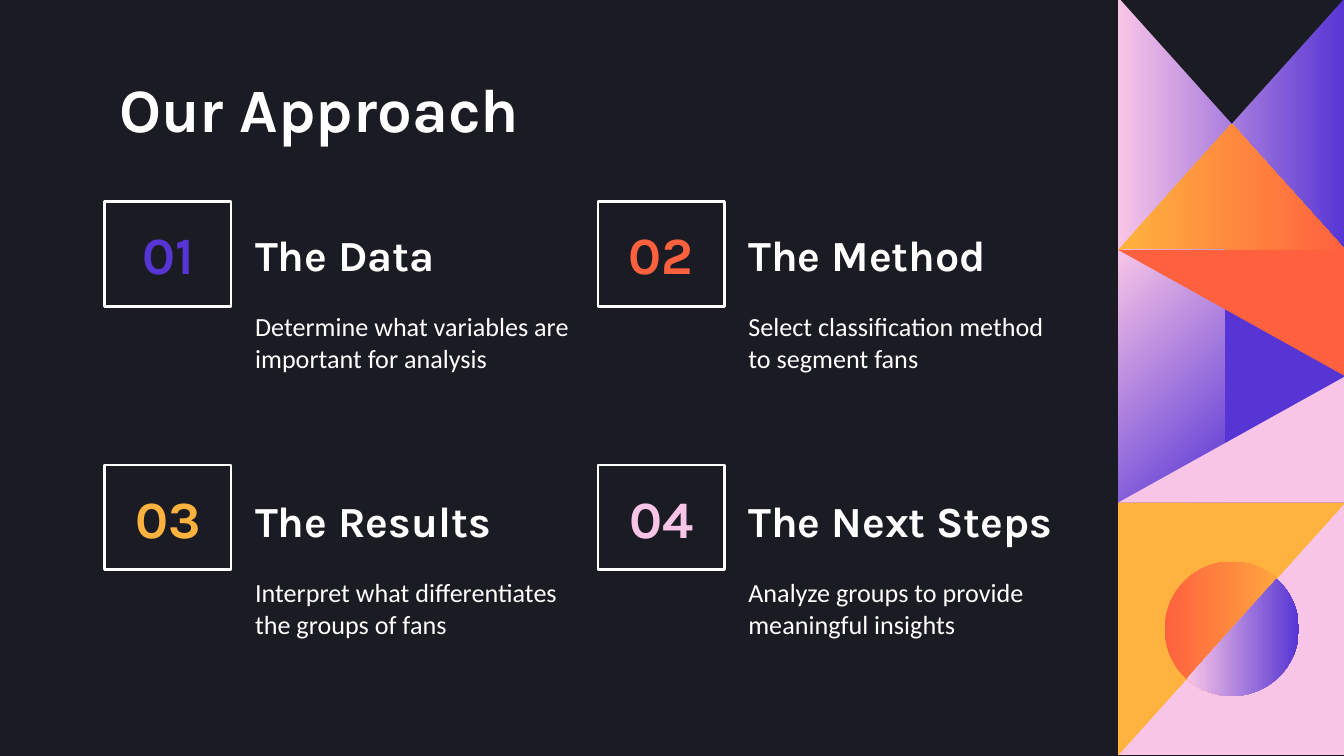
from math import cos, radians, sin

from pptx import Presentation
from pptx.dml.color import RGBColor
from pptx.enum.shapes import MSO_SHAPE
from pptx.enum.text import MSO_ANCHOR, PP_ALIGN
from pptx.util import Inches, Pt

RECTANGLE, OVAL = MSO_SHAPE.RECTANGLE, MSO_SHAPE.OVAL
MIDDLE = MSO_ANCHOR.MIDDLE
LEFT, CENTER = PP_ALIGN.LEFT, PP_ALIGN.CENTER

DARK, WHITE = "1B1B23", "FFFFFF"
PURPLE, RED, AMBER, PINK = "5635D4", "FF613E", "FFB33E", "F9C5E7"

STEPS = [
    ("01", "The Data", "Determine what variables are important for analysis", PURPLE),
    ("02", "The Method", "Select classification method to segment fans", RED),
    ("03", "The Results", "Interpret what differentiates the groups of fans", AMBER),
    ("04", "The Next Steps", "Analyze groups to provide meaningful insights", PINK),
]


def rgb(color):
    return RGBColor.from_string(color)


def write(shape, text, font, size, color, bold=False, align=LEFT):
    frame = shape.text_frame
    frame.word_wrap = True
    frame.vertical_anchor = MIDDLE
    frame.margin_left = frame.margin_right = Inches(0.1)
    frame.margin_top = frame.margin_bottom = Inches(0.1)
    para = frame.paragraphs[0]
    para.text = text
    para.alignment = align
    para.font.name = font
    para.font.size = Pt(size)
    para.font.bold = bold
    para.font.color.rgb = rgb(color)


def add_text(page, left, top, width, height, *style):
    box = page.shapes.add_textbox(Inches(left), Inches(top), Inches(width), Inches(height))
    write(box, *style)


def paint(shape, colors, angle=0):
    """Fill with one colour, or with a gradient between two."""
    shape.shadow.inherit = False
    shape.line.fill.background()
    if len(colors) == 1:
        shape.fill.solid()
        shape.fill.fore_color.rgb = rgb(colors[0])
        return
    shape.fill.gradient()
    shape.fill.gradient_angle = angle
    for stop, color in zip(shape.fill.gradient_stops, colors):
        stop.color.rgb = rgb(color)


def add_polygon(page, points, *colors, angle=0):
    corners = [(Inches(x), Inches(y)) for x, y in points]
    builder = page.shapes.build_freeform(*corners[0], scale=1.0)
    builder.add_line_segments(corners[1:], close=True)
    paint(builder.convert_to_shape(), colors, angle)


def add_step(page, left, top, text_top, number, heading, detail, color):
    # Numbered frame
    frame = page.shapes.add_shape(
        RECTANGLE, Inches(left), Inches(top), Inches(0.94), Inches(0.78))
    frame.shadow.inherit = False
    frame.fill.background()
    frame.line.color.rgb = rgb(WHITE)
    frame.line.width = Pt(1.5)
    write(frame, number, "Karla", 28, color, True, CENTER)
    # Heading and detail
    add_text(page, left + 1.02, text_top, 2.6, 0.78, heading, "Karla", 23, WHITE, True)
    add_text(page, left + 1.02, text_top + 0.78, 2.56, 0.53, detail, "Calibri", 14, WHITE)


def add_pattern(page, left, top, width, tile):
    right, center = left + width, left + width / 2
    second, third, bottom = (top + tile * n for n in (1, 2, 3))

    # Top tile: gradient square with a dark and an amber triangle
    peak = (center, top + tile / 2)
    add_polygon(page, [(left, top), (right, top), (right, second), (left, second)],
                PINK, PURPLE)
    add_polygon(page, [(left, second), peak, (right, second)], AMBER, RED)
    add_polygon(page, [(left, top), (right, top), peak], DARK)

    # Middle tile: arrow pointing right between two triangles
    tip = (right, second + tile / 2)
    fade = left + 0.79
    add_polygon(page, [(left, second), (right, second), (right, third), (left, third)],
                PURPLE)
    add_polygon(page, [(left, second), (fade, second), (fade, third), (left, third)],
                PINK, PURPLE, angle=315)
    add_polygon(page, [(left, second), (right, second), tip], RED)
    add_polygon(page, [(left, third), tip, (right, third)], PINK)

    # Bottom tile: diagonal split with a two-tone disc
    add_polygon(page, [(left, third), (right, third), (right, bottom), (left, bottom)], PINK)
    add_polygon(page, [(left, third), (right, third), (left, bottom)], AMBER)
    radius, middle = 0.5, third + tile / 2
    disc = page.shapes.add_shape(
        OVAL, Inches(center - radius), Inches(middle - radius),
        Inches(2 * radius), Inches(2 * radius))
    paint(disc, (RED, AMBER))
    half = [(center + radius * cos(radians(a)), middle + radius * sin(radians(a)))
            for a in range(-48, 133, 3)]
    add_polygon(page, half, PINK, PURPLE)


def main():
    deck = Presentation()
    deck.slide_width = Inches(10)
    deck.slide_height = deck.slide_width * 9 // 16
    page = deck.slides.add_slide(deck.slide_layouts[6])
    page.background.fill.solid()
    page.background.fill.fore_color.rgb = rgb(DARK)

    add_pattern(page, 8.32, -0.02, 1.69, 1.88)
    add_text(page, 0.79, 0.49, 8.43, 0.63, "Our Approach", "Karla", 33, WHITE, True)

    # Two by two grid of steps
    for index, step in enumerate(STEPS):
        row, column = divmod(index, 2)
        add_step(page, 0.78 + 3.67 * column, 1.5 + 1.96 * row, 1.5 + 1.98 * row, *step)

    deck.save("out.pptx")


if __name__ == "__main__":
    main()
